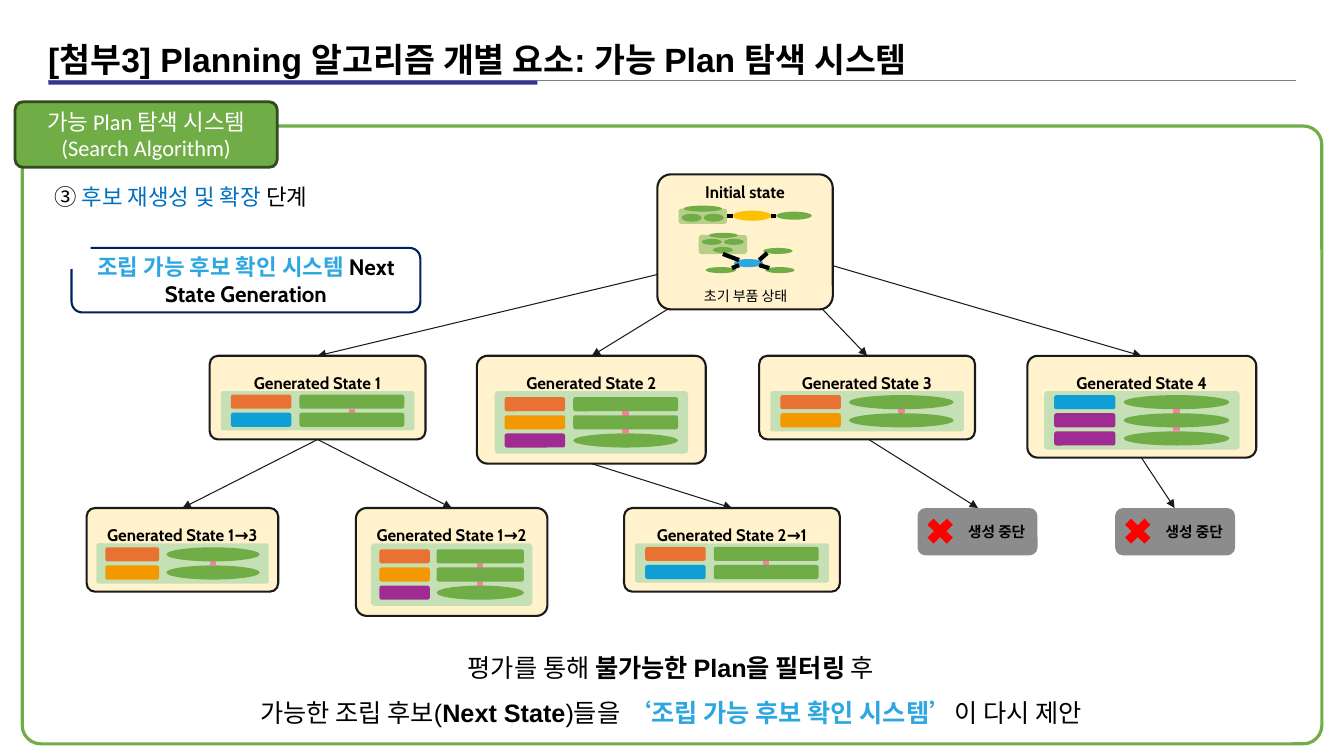
from lxml import etree
from pptx import Presentation
from pptx import util as u
from pptx.dml.color import RGBColor
from pptx.enum import shapes, text
from pptx.oxml.ns import qn

PX = 9144
COLOURS = {
    "green": "70AD47", "dark green": "314C1F", "pale green": "C5E0B4",
    "cream": "FFF2CC", "ink": "1A1A1A", "black": "000000", "white": "FFFFFF",
    "orange": "E97132", "amber": "F39800", "blue": "0F9ED5", "purple": "A02B93",
    "pink": "FF79A9", "gold": "FFC000", "sky": "2EA7E0", "link": "0070C0",
    "navy": "002060", "indigo": "333399", "gray": "808080", "stop": "8C8C8C",
    "red": "FF0000",
}
KINDS = {
    "round": shapes.MSO_SHAPE.ROUNDED_RECTANGLE, "oval": shapes.MSO_SHAPE.OVAL,
    "rect": shapes.MSO_SHAPE.RECTANGLE, "can": shapes.MSO_SHAPE.CAN,
    "cross": shapes.MSO_SHAPE.MATH_MULTIPLY,
}
CENTER, RIGHT = text.PP_ALIGN.CENTER, text.PP_ALIGN.RIGHT
MIDDLE, TOP = text.MSO_ANCHOR.MIDDLE, text.MSO_ANCHOR.TOP
LABEL_FORMAT = {"alignment": CENTER, "line_spacing": 1.6, "space_before": u.Pt(2.4)}

ARROWS = [
    (683, 294, 587, 353), (800, 256, 1132, 353), (666, 269, 315, 353),
    (747, 235, 860, 353), (860, 435, 970, 504), (1132, 454, 1165, 504),
    (315, 436, 181, 504), (315, 436, 448, 504), (587, 460, 726, 504),
]
STATES = [
    ("1", (208, 353, 214, 83), (192, 39), [("orange", "round"), ("blue", "round")]),
    ("3", (753, 353, 214, 83), (192, 40), [("orange", "oval"), ("amber", "oval")]),
    ("2", (473, 353, 227, 107), (192, 62),
     [("orange", "round"), ("amber", "round"), ("purple", "oval")]),
    ("4", (1019, 353, 227, 101), (194, 58),
     [("blue", "oval"), ("purple", "oval"), ("purple", "oval")]),
    ("1→3", (86, 504, 190, 83), (171, 40), [("orange", "oval"), ("amber", "oval")]),
    ("1→2", (353, 504, 190, 107), (160, 62),
     [("orange", "round"), ("amber", "round"), ("purple", "oval")]),
    ("2→1", (619, 504, 214, 83), (192, 39), [("orange", "round"), ("blue", "round")]),
]
TRAYS = [(673, 207, 48, 15), (693, 233, 48, 19)]
PARTS = [
    ("gold", (727, 209, 38, 10)), ("green", (770, 210, 35, 8)),
    ("green", (678, 204, 38, 6)), ("green", (676, 212, 20, 8)),
    ("green", (698, 212, 20, 8)), ("sky", (728, 257, 29, 8)),
    ("green", (696, 237, 20, 6)), ("green", (718, 237, 20, 6)),
    ("green", (707, 245, 20, 6)), ("green", (703, 231, 29, 5)),
    ("green", (757, 246, 29, 6)), ("green", (759, 265, 29, 6)),
    ("green", (700, 265, 30, 6)),
]
JOINTS = [
    (721, 214, 727, 214), (770, 214, 765, 214), (717, 252, 733, 258),
    (753, 258, 761, 251), (763, 266, 753, 263), (726, 266, 733, 263),
]


def rgb(name):
    """Return the named colour."""
    return RGBColor.from_string(COLOURS[name])


def lengths(*values):
    """Turn px values into EMU."""
    return [u.Emu(round(value * PX)) for value in values]


def block(tree, kind, box, fill=None, line=None, corner=None, alpha=None):
    """Add a preset shape, with optional fill, outline and corner size."""
    item = tree.add_shape(KINDS[kind], *lengths(*box))
    item.shadow.inherit = False
    if fill:
        item.fill.solid()
        item.fill.fore_color.rgb = rgb(fill)
    else:
        item.fill.background()
    if line:
        item.line.color.rgb = rgb(line[0])
        item.line.width = u.Pt(line[1])
    else:
        item.line.fill.background()
    if corner is not None:
        item.adjustments[0] = corner
    if alpha:
        tint = next(item.element.spPr.iter(qn("a:srgbClr")))
        etree.SubElement(tint, qn("a:alpha"), val=str(alpha * 1000))
    return item


def link(tree, ends, colour, width, arrow=False):
    """Add a straight line, with an arrowhead at its end if asked."""
    item = tree.add_connector(shapes.MSO_CONNECTOR.STRAIGHT, *lengths(*ends))
    item.line.color.rgb = rgb(colour)
    item.line.width = u.Pt(width)
    properties = item.element.spPr
    if arrow:
        etree.SubElement(properties.find(qn("a:ln")), qn("a:tailEnd"), type="triangle")
    etree.SubElement(properties, qn("a:effectLst"))


def write(item, paragraphs, font, size, layout=None, anchor=TOP):
    """Fill a shape with paragraphs of (wording, colour, bold) runs."""
    frame = item.text_frame
    frame.word_wrap = True
    frame.vertical_anchor = anchor
    for index, runs in enumerate(paragraphs):
        paragraph = frame.add_paragraph() if index else frame.paragraphs[0]
        for name, value in (layout or {}).items():
            setattr(paragraph, name, value)
        for wording, colour, bold in runs:
            run = paragraph.add_run()
            run.text = wording
            run.font.color.rgb = rgb(colour)
            for name, value in {"name": font, "size": u.Pt(size), "bold": bold}.items():
                setattr(run.font, name, value)


def caption(tree, box, *content, **options):
    """Add a text box and write into it."""
    write(tree.add_textbox(*lengths(*box)), *content, **options)


def card(tree, box, wording, label_top):
    """Add a cream state card with its bold label."""
    left, _, width, _ = box
    block(tree, "round", box, "cream", ("ink", 1.5), 0.1)
    caption(tree, (left + width / 2 - 100, label_top, 200, 39),
            [[(wording, "black", True)]], "Cabin", 12, LABEL_FORMAT)


def state(tree, number, box, panel, rows):
    """Add a generated state with its panel of paired parts."""
    card(tree, box, f"Generated State {number}", box[1])
    width, height = panel
    left, top = box[0] + (box[2] - width) / 2, box[1] + 35
    scale, thick, pitch = width / 192, 14, 18
    span = pitch * (len(rows) - 1)
    first = top + (height - thick - span) / 2
    middle = left + 130 * scale
    block(tree, "round", (left, top, width, height), "pale green", corner=0.06)
    link(tree, (middle, first + thick, middle, first + span), "pink", 4.5)
    for index, (colour, kind) in enumerate(rows):
        y = first + index * pitch
        block(tree, "round", (left + 10 * scale, y, 60 * scale, thick), colour)
        block(tree, kind, (left + 78 * scale, y, 104 * scale, thick), "green")


def initial_state(tree):
    """Add the root card with its loose parts."""
    card(tree, (652, 173, 174, 134), "Initial state", 163)
    for box in TRAYS:
        block(tree, "round", box, "green", alpha=50)
    for colour, box in PARTS:
        block(tree, "oval", box, colour)
    for ends in JOINTS:
        link(tree, ends, "black", 3)
    caption(tree, (662, 280, 155, 18), [[("초기 부품 상태", "black", False)]],
            "Calibri", 10, {"alignment": CENTER})


def stopped(tree, left):
    """Add a gray badge for a branch that ends."""
    badge = block(tree, "round", (left, 504, 119, 47), "stop")
    write(badge, [[("생성 중단", "black", True)]], "Cabin", 10.5,
          {"alignment": RIGHT}, MIDDLE)
    block(tree, "cross", (left + 4, 509, 37, 36), "red")


def heading(tree):
    """Add the title, its rules and the section tab."""
    caption(tree, (38, 34, 1022, 50),
            [[("[첨부3] Planning 알고리즘 개별 요소: 가능 Plan 탐색 시스템", "black", True)]],
            "Arial", 24)
    link(tree, (48, 80, 1285, 80), "gray", 1)
    block(tree, "rect", (48, 80, 485, 4), "indigo")
    tab = block(tree, "round", (15, 101, 260, 65), "green", ("dark green", 2), 0.12)
    write(tab, [[("가능 Plan 탐색 시스템", "white", False)],
                [("(Search Algorithm)", "white", False)]],
          "Calibri", 16, {"alignment": CENTER}, MIDDLE)
    caption(tree, (44, 177, 999, 46),
            [[("③ ", "black", False), ("후보 재생성 및 확장", "link", False),
              (" 단계", "black", False)]],
            "Cabin", 16, {"space_before": u.Pt(6)})


def callout(tree):
    """Add the next-state box with its open corner."""
    box = block(tree, "round", (71, 246, 346, 64), "white", ("navy", 1.5))
    write(box, [[("조립 가능 후보 확인 시스템 ", "sky", True),
                 ("Next State Generation", "black", True)]],
          "Cabin", 16, {"alignment": CENTER}, MIDDLE)
    block(tree, "can", (46, 216, 44, 51), "white", corner=0.33)


def conclusion(tree):
    """Add the two closing lines."""
    caption(tree, (69, 627, 1193, 95),
            [[("평가를 통해 ", "black", False), ("불가능한 Plan을 필터링 ", "black", True),
              ("후", "black", False)],
             [("가능한 조립 후보(", "black", False), ("Next State", "black", True),
              (")들을 ", "black", False), ("‘조립 가능 후보 확인 시스템’", "sky", True),
              ("이 다시 제안", "black", False)]],
            "Arial", 18, {"alignment": CENTER, "line_spacing": 1.5})


def main():
    """Build the slide and save it."""
    deck = Presentation()
    deck.slide_width, deck.slide_height = lengths(1333, 750)
    tree = deck.slides.add_slide(deck.slide_layouts[6]).shapes
    block(tree, "round", (22, 125, 1289, 613), line=("green", 2.25), corner=0.03)
    for ends in ARROWS:
        link(tree, ends, "ink", 0.75, arrow=True)
    heading(tree)
    for details in STATES:
        state(tree.add_group_shape().shapes, *details)
    initial_state(tree.add_group_shape().shapes)
    for left in (910, 1106):
        stopped(tree.add_group_shape().shapes, left)
    callout(tree.add_group_shape().shapes)
    conclusion(tree)
    deck.save("out.pptx")


if __name__ == "__main__":
    main()
